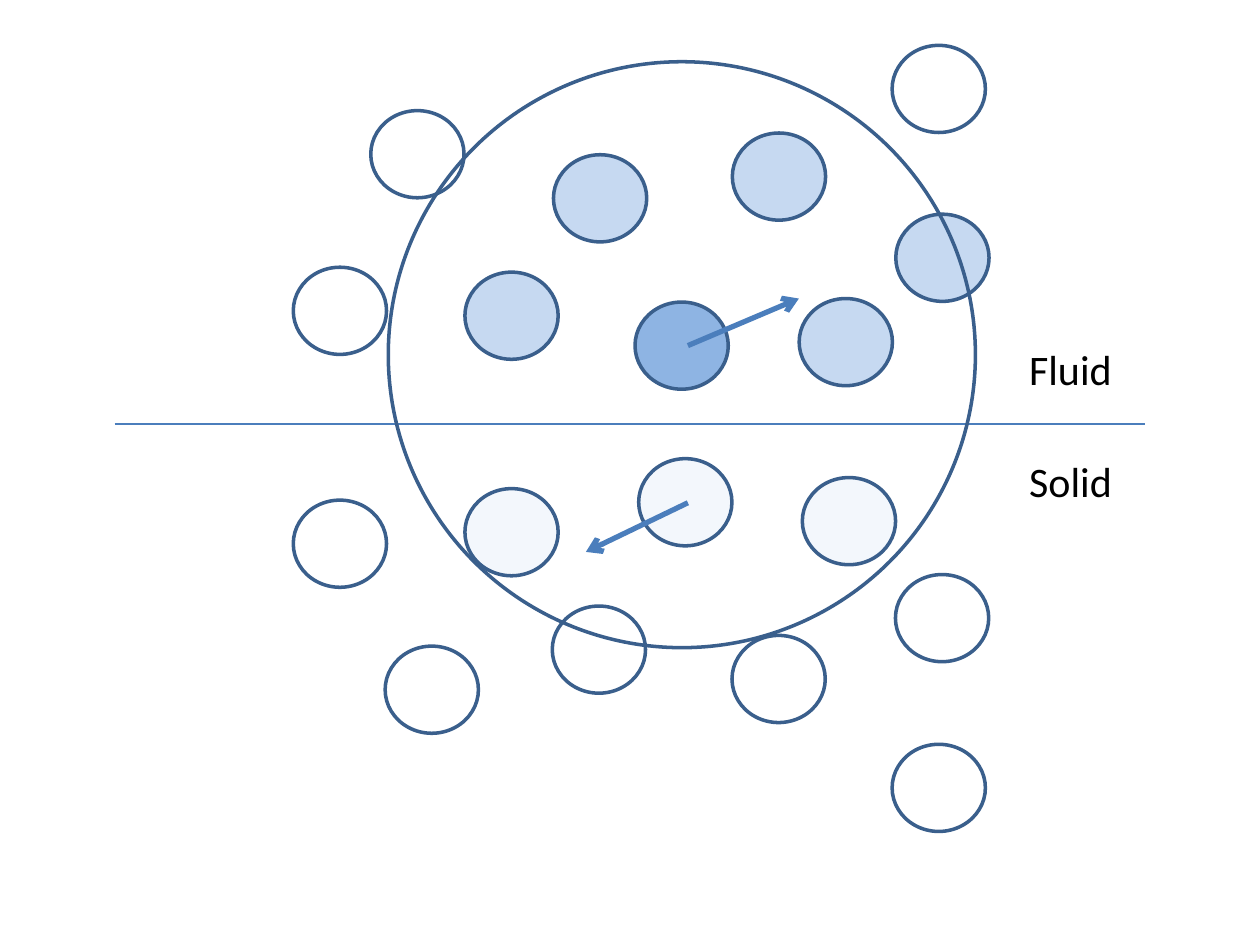
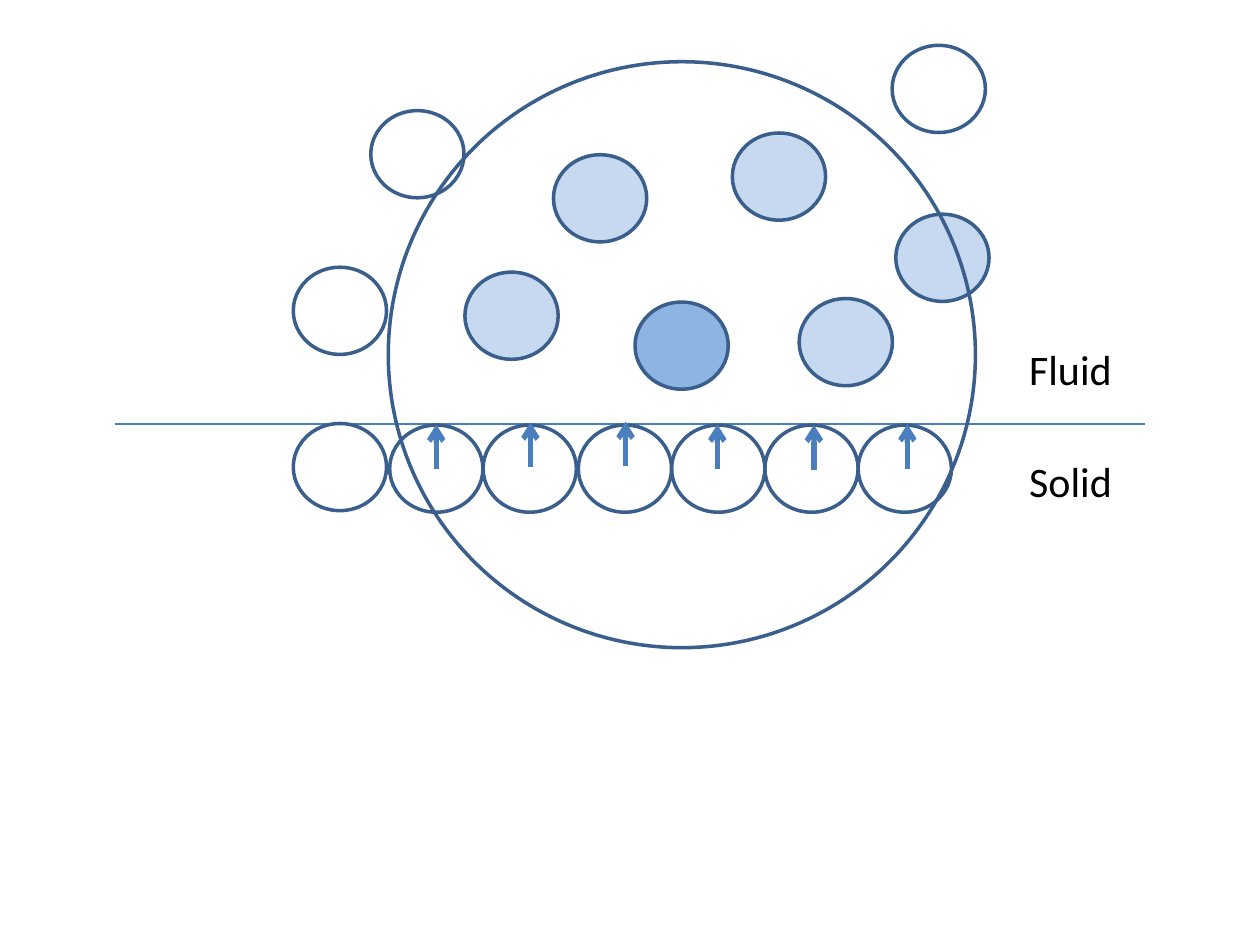
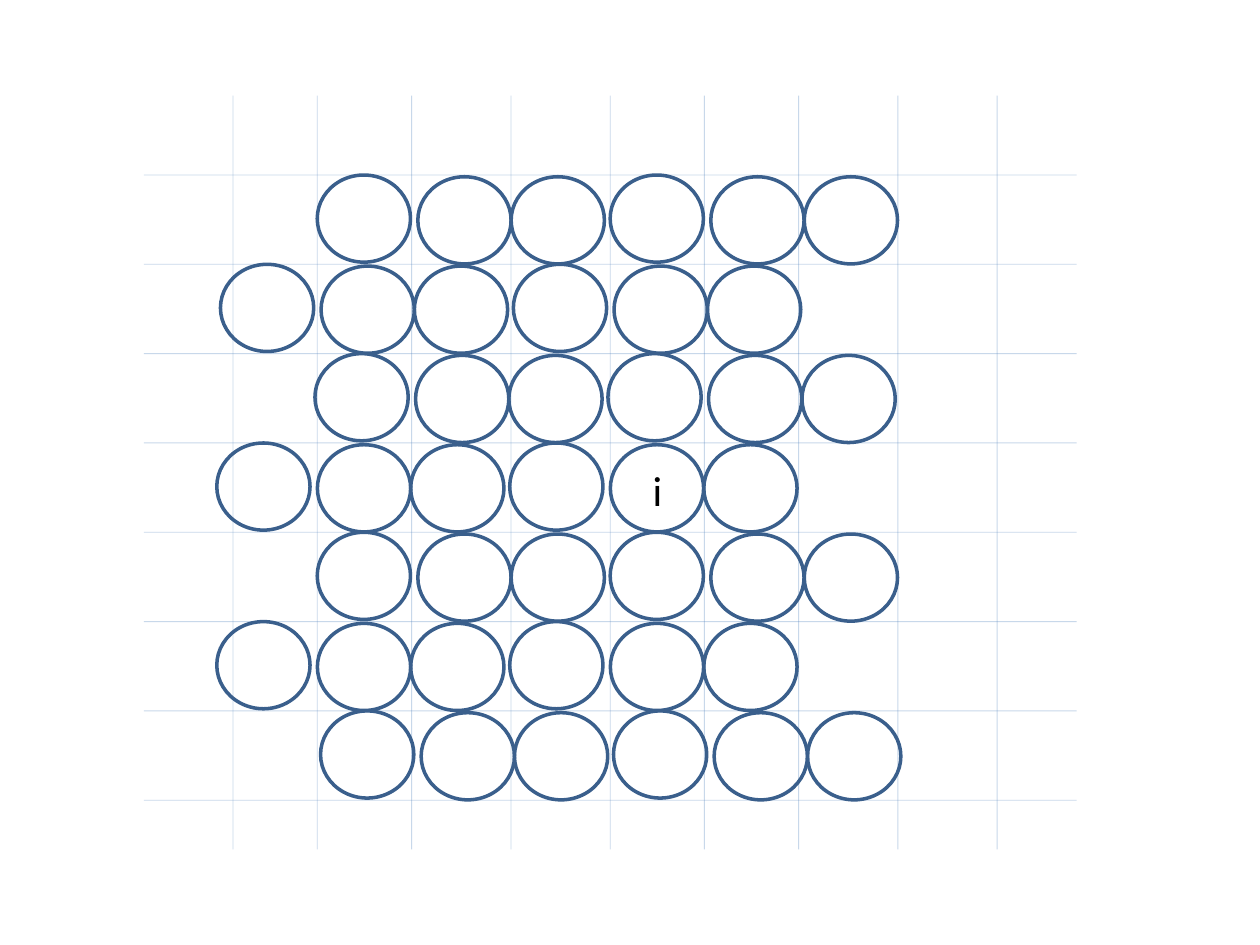
from dataclasses import dataclass

from lxml import etree
from pptx import Presentation
from pptx.dml.color import RGBColor
from pptx.enum import shapes, text
from pptx.oxml import ns
from pptx.util import Pt


@dataclass(frozen=True)
class Theme:
    outline: str = "3A5F8C"
    stroke: str = "4B7EBC"
    neighbour: str = "C6D9F1"
    centre: str = "8EB4E3"
    ink: str = "000000"
    font: str = "Calibri"
    label_size: float = 24
    outline_width: float = 2
    surface_width: float = 0.75
    arrow_width: float = 3
    grid_width: float = 0.5
    ghost_opacity: int = 20
    grid_opacity: int = 30


theme = Theme()
PARTICLE_W, PARTICLE_H = 53.3, 49.8


def add_particle(slide, left, top, fill=None, opacity=100, width=PARTICLE_W, height=PARTICLE_H):
    particle = slide.shapes.add_shape(
        shapes.MSO_SHAPE.OVAL, Pt(left), Pt(top), Pt(width), Pt(height))
    particle.shadow.inherit = False
    particle.line.color.rgb = RGBColor.from_string(theme.outline)
    particle.line.width = Pt(theme.outline_width)
    if fill is None:
        particle.fill.background()
        return
    particle.fill.solid()
    particle.fill.fore_color.rgb = RGBColor.from_string(fill)
    if opacity < 100:
        colour = particle.fill._xPr.find(".//" + ns.qn("a:srgbClr"))
        etree.SubElement(colour, ns.qn("a:alpha"), val=str(opacity * 1000))


def add_line(slide, x1, y1, x2, y2, width, opacity=100, arrow=False):
    line = slide.shapes.add_connector(
        shapes.MSO_CONNECTOR.STRAIGHT, Pt(x1), Pt(y1), Pt(x2), Pt(y2))
    line.line.color.rgb = RGBColor.from_string(theme.stroke)
    line.line.width = Pt(width)
    properties = line._element.spPr
    if opacity < 100:
        colour = properties.find(".//" + ns.qn("a:srgbClr"))
        etree.SubElement(colour, ns.qn("a:alpha"), val=str(opacity * 1000))
    if arrow:
        etree.SubElement(properties.find(ns.qn("a:ln")), ns.qn("a:tailEnd"), type="arrow")
    etree.SubElement(properties, ns.qn("a:effectLst"))


deck = Presentation()
deck.slide_width, deck.slide_height = Pt(720), Pt(540)
ghost_slide, wall_slide, lattice_slide = [
    deck.slides.add_slide(deck.slide_layouts[6]) for _ in range(3)]

# Fluid side and surface, shared by the first two slides
fluid_neighbours = [(265.7, 155.5), (316.3, 88.4), (511.9, 122.4), (418.5, 76), (456.7, 170.6)]
outer_fluid = [(211.9, 63.2), (167.6, 152.7), (509.8, 25.9)]
for slide in (ghost_slide, wall_slide):
    for left, top in fluid_neighbours:
        add_particle(slide, left, top, theme.neighbour)
    for left, top in outer_fluid:
        add_particle(slide, left, top)
    add_particle(slide, 362.9, 172.6, theme.centre)
    add_line(slide, 65.5, 242.3, 654.5, 242.3, theme.surface_width)

# Slide 1: mirrored particles in the solid
ghosts = [(365, 262.1), (265.7, 279.2), (458.5, 272.9)]
outer_solid = [(509.8, 425.3), (167.6, 285.8), (220.1, 369.2),
               (511.7, 328.3), (315.6, 346.3), (418.3, 363.1)]
for left, top in ghosts:
    add_particle(ghost_slide, left, top, theme.neighbour, theme.ghost_opacity)
for left, top in outer_solid:
    add_particle(ghost_slide, left, top)
for velocity in [(393.1, 197.5, 456.5, 170.6), (393.1, 287.3, 334.8, 315.4)]:
    add_line(ghost_slide, *velocity, theme.arrow_width, arrow=True)

# Slide 2: a row of wall particles with surface normals
add_particle(wall_slide, 167.6, 242)
wall_lefts = [222.7, 276.1, 330.5, 383.8, 437.1, 490.4]
normals = [(249.3, 242.6), (303.1, 241.4), (357.5, 241),
           (409.9, 242.6), (465.1, 242.8), (518.5, 242.4)]
for left, (x, tip) in zip(wall_lefts, normals):
    add_particle(wall_slide, left, 242.9)
    add_line(wall_slide, x, tip + 25.5, x, tip, theme.arrow_width, arrow=True)

# Support radius around the central particle
for slide in (ghost_slide, wall_slide):
    add_particle(slide, 221.9, 35.3, width=335.5, height=334.8)

# Slide 3: background grid
ROW_TOP, ROW_PITCH = 100, 51.04
for x in [133.2, 181.3, 235.2, 292, 348.7, 402.5, 456.4, 513.1, 569.8]:
    add_line(lattice_slide, x, 54.7, x, 485.3, theme.grid_width, theme.grid_opacity)
for row in range(8):
    y = ROW_TOP + row * ROW_PITCH
    add_line(lattice_slide, 82.2, y, 615.2, y, theme.grid_width, theme.grid_opacity)

# Slide 3: staggered particle rows, each with the same spacing
row_starts = [181.3, 126, 180, 123.9, 181.3, 123.9, 183.2]
row_offsets = [(0, 0), (57.5, 1), (110.8, 1), (167.4, 0), (224.9, 1), (278.3, 1)]
for row, start in enumerate(row_starts):
    for dx, dy in row_offsets:
        add_particle(lattice_slide, start + dx, ROW_TOP + row * ROW_PITCH + dy)

# Labels
labels = [(slide, *label)
          for slide in (ghost_slide, wall_slide)
          for label in [("Fluid", 581, 193, 79.2), ("Solid", 581, 256.6, 85)]]
labels.append((lattice_slide, "i", 365.8, 262.1, 56.9))
for slide, wording, left, top, width in labels:
    label = slide.shapes.add_textbox(Pt(left), Pt(top), Pt(width), Pt(36.35))
    label.text_frame.word_wrap = True
    label.text_frame.auto_size = text.MSO_AUTO_SIZE.SHAPE_TO_FIT_TEXT
    run = label.text_frame.paragraphs[0].add_run()
    run.text = wording
    run.font.name = theme.font
    run.font.size = Pt(theme.label_size)
    run.font.color.rgb = RGBColor.from_string(theme.ink)

deck.save("out.pptx")
